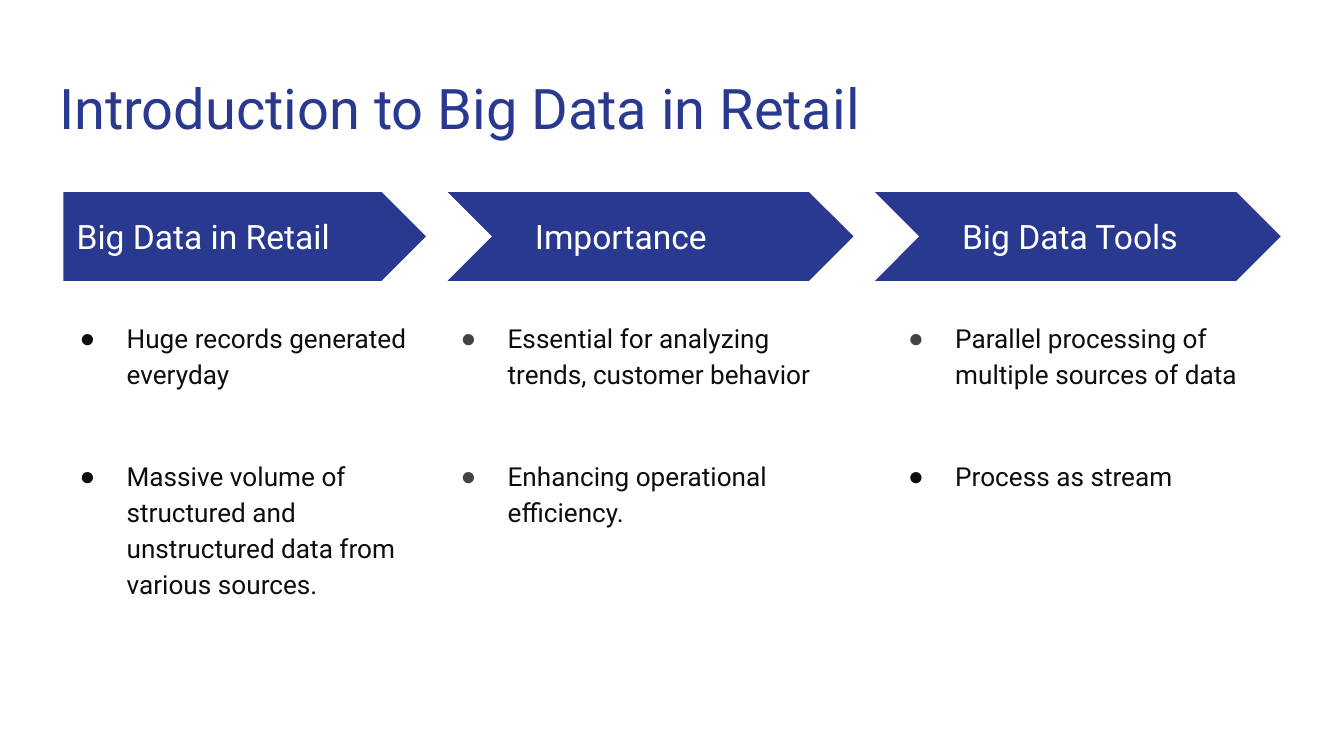
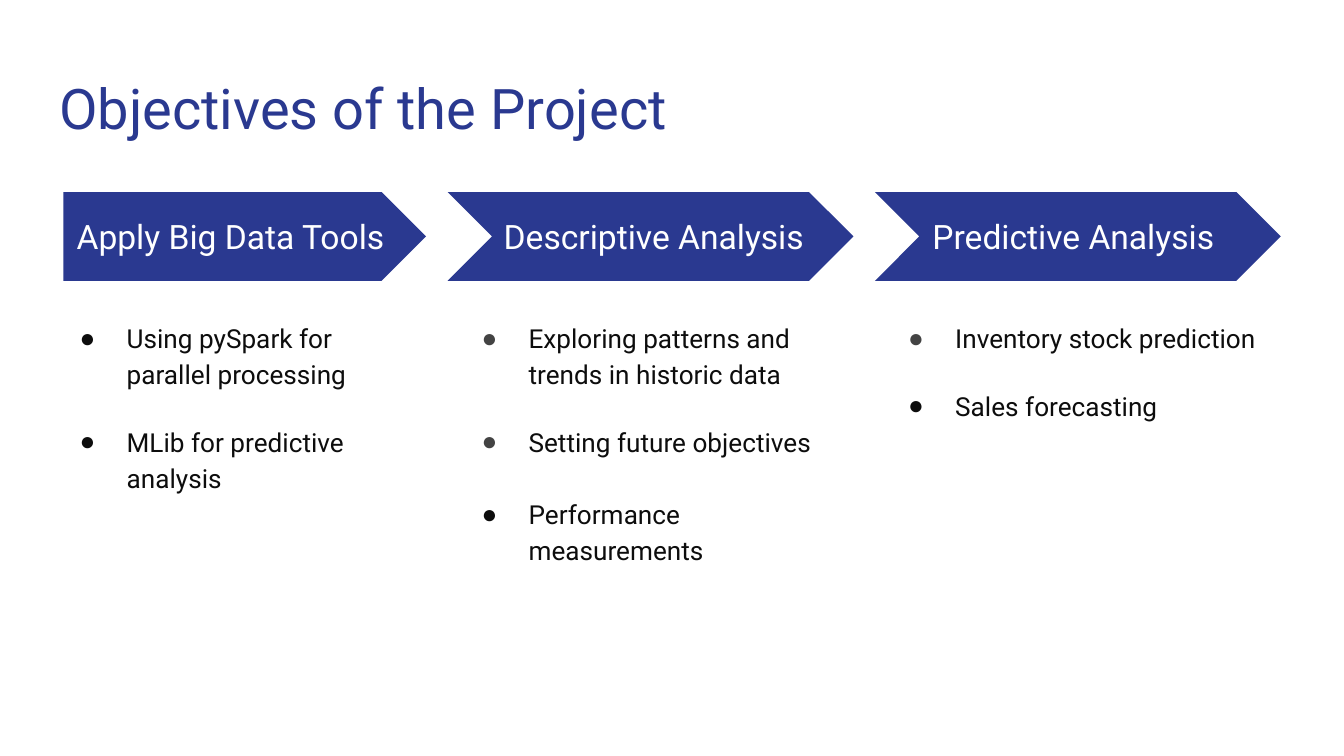
import pptx
import pptx.dml.color
import pptx.enum.shapes
import pptx.enum.text
import pptx.oxml
import pptx.oxml.ns
import pptx.util

HUES = {"navy": "2A3990", "white": "FFFFFF", "ink": "0D0D0D", "gray": "434343"}
FONT = "Roboto"
STEP = 31.8  # distance from one column to the next, in percent of the width
KINDS = pptx.enum.shapes.MSO_SHAPE
ANCHOR = pptx.enum.text.MSO_ANCHOR

# Each column: heading (text, left, width), list (left, width),
# and points (text, bullet colour, gap above in points).
SLIDES = [
    ("Introduction to Big Data in Retail", [
        (("Big Data in Retail", 4.72, 24.7), (3.42, 28.3), [
            ("Huge records generated everyday", "ink", 0),
            ("Massive volume of structured and unstructured data from "
             "various sources.", "ink", 35.3)]),
        (("Importance", 38.82, 22.4), (31.77, 30.2), [
            ("Essential for analyzing trends, customer behavior", "gray", 0),
            ("Enhancing operational efficiency.", "gray", 35.3)]),
        (("Big Data Tools", 70.6, 22.5), (65.07, 30.4), [
            ("Parallel processing of multiple sources of data", "gray", 0),
            ("Process as stream", "ink", 35.3)]),
    ]),
    ("Objectives of the Project", [
        (("Apply Big Data Tools", 4.72, 27), (3.42, 28.3), [
            ("Using pySpark for parallel processing", "ink", 0),
            ("MLib for predictive analysis", "ink", 17)]),
        (("Descriptive Analysis", 36.5, 24.7), (33.33, 30.2), [
            ("Exploring patterns and trends in historic data", "gray", 0),
            ("Setting future objectives", "gray", 17),
            ("Performance measurements", "ink", 19.3)]),
        (("Predictive Analysis", 68.4, 24.7), (65.07, 30.4), [
            ("Inventory stock prediction", "gray", 0),
            ("Sales forecasting", "ink", 17)]),
    ]),
]


def paint(hue):
    return pptx.dml.color.RGBColor.from_string(HUES[hue])


def write(para, text, size=14, hue="ink", space=1, gap=0):
    """Fill a paragraph with one formatted run."""
    para.alignment = pptx.enum.text.PP_ALIGN.LEFT
    para.line_spacing = space
    para.space_before = pptx.util.Pt(gap)
    para.space_after = pptx.util.Pt(0)
    run = para.add_run()
    run.text = text
    run.font.name = FONT
    run.font.size = pptx.util.Pt(size)
    run.font.bold = False
    run.font.color.rgb = paint(hue)


def mark(para, hue):
    """Give a paragraph a hanging round bullet."""
    props = para._p.get_or_add_pPr()
    props.set("marL", str(pptx.util.Inches(0.5)))
    props.set("indent", str(pptx.util.Inches(-0.35)))
    space = pptx.oxml.ns.nsdecls("a")
    for code in (f'<a:buClr {space}><a:srgbClr val="{HUES[hue]}"/></a:buClr>',
                 f'<a:buChar {space} char="●"/>'):
        props.append(pptx.oxml.parse_xml(code))


class Deck:
    """Holds the style and the current slide; lengths are percents of its size."""

    def __init__(self):
        self.show = pptx.Presentation()
        self.show.slide_width = pptx.util.Inches(10)
        self.show.slide_height = self.show.slide_width * 9 // 16

    def box(self, left, top, width, height):
        wide, high = self.show.slide_width, self.show.slide_height
        return [round(share * side / 100) for share, side in
                zip((left, top, width, height), (wide, high, wide, high))]

    def frame(self, shape, anchor=ANCHOR.TOP):
        frame = shape.text_frame
        frame.word_wrap = True
        frame.auto_size = pptx.enum.text.MSO_AUTO_SIZE.NONE
        frame.vertical_anchor = anchor
        inset = pptx.util.Inches(0.1)
        frame.margin_left = frame.margin_right = inset
        frame.margin_top = frame.margin_bottom = inset
        return frame

    def place(self, shape, *area):
        shape.left, shape.top, shape.width, shape.height = self.box(*area)
        return self.frame(shape)

    def start(self, title):
        layout = self.show.slide_layouts.get_by_name("Comparison")
        self.slide = self.show.slides.add_slide(layout)
        head, *self.spare = self.slide.placeholders
        frame = self.place(head, 3.4, 8, 93.2, 11.75)
        write(frame.paragraphs[0], title, size=30, hue="navy")

    def arrow(self, index):
        """Draw a column's arrow; the first has a flat left end."""
        kind, inset = (KINDS.CHEVRON, 1.5) if index else (KINDS.PENTAGON, 4.72)
        shape = self.slide.shapes.add_shape(
            kind, *self.box(inset + index * STEP, 25.4, 31.7 - inset, 11.75))
        shape.shadow.inherit = False
        shape.fill.solid()
        shape.fill.fore_color.rgb = paint("navy")
        shape.line.fill.background()

    def label(self, text, left, width):
        shape = self.slide.shapes.add_textbox(*self.box(left, 28.27, width, 6.05))
        frame = self.frame(shape, ANCHOR.MIDDLE)
        write(frame.paragraphs[0], text, size=18, hue="white")

    def points(self, left, width, items):
        frame = self.place(self.spare.pop(0), left, 40.25, width, 51.6)
        for index, (text, hue, gap) in enumerate(items):
            para = frame.add_paragraph() if index else frame.paragraphs[0]
            write(para, text, space=1.15, gap=gap)
            mark(para, hue)

    def finish(self):
        """Remove the placeholders left empty."""
        for shape in self.spare:
            shape.element.getparent().remove(shape.element)


def main():
    deck = Deck()
    for title, columns in SLIDES:
        deck.start(title)
        for index, (head, span, items) in enumerate(columns):
            deck.arrow(index)
            deck.label(*head)
            deck.points(*span, items)
        deck.finish()
    deck.show.save("out.pptx")


if __name__ == "__main__":
    main()
